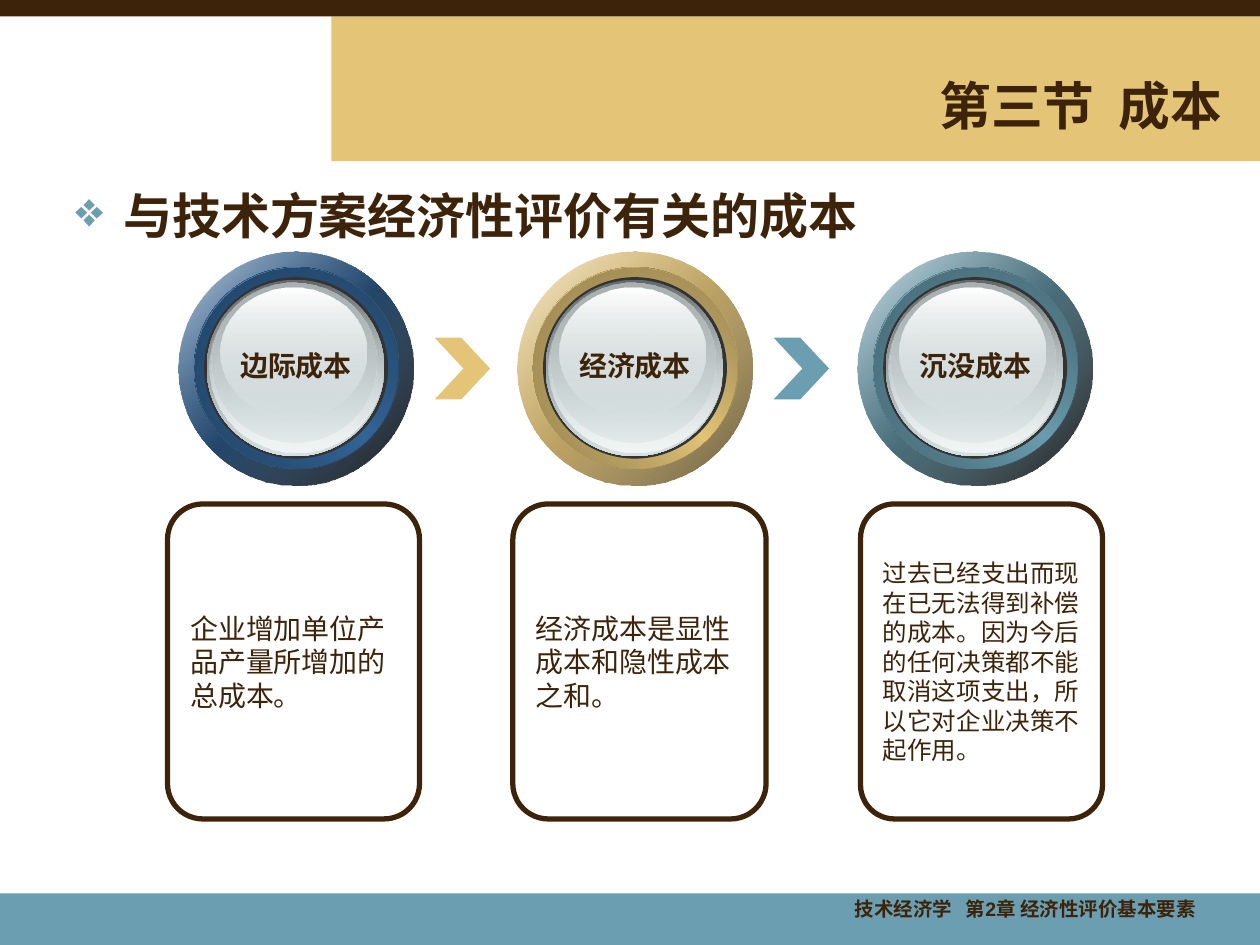
from lxml.etree import SubElement
from pptx import Presentation
from pptx.dml.color import RGBColor
from pptx.enum.shapes import MSO_SHAPE
from pptx.enum.text import MSO_ANCHOR, MSO_AUTO_SIZE, PP_ALIGN
from pptx.oxml.ns import qn
from pptx.util import Pt

PX = 9144  # EMU per px, at 100 px to the inch

BROWN = RGBColor(0x3C, 0x23, 0x0A)
GOLD = RGBColor(0xE4, 0xC5, 0x78)
TEAL = RGBColor(0x6A, 0x9E, 0xB0)
BLUE = RGBColor(0x33, 0x66, 0x99)
WHITE = RGBColor(0xFF, 0xFF, 0xFF)
BLACK = RGBColor(0x00, 0x00, 0x00)
CORE = RGBColor(0x33, 0x33, 0x33)
GLASS = RGBColor(0xD6, 0xE1, 0xE2)
PALE = RGBColor(0xF1, 0xF5, 0xF5)
GREY = RGBColor(0xAA, 0xB2, 0xB3)
SLATE = RGBColor(0x63, 0x68, 0x69)
GOLD_END = RGBColor(0x6A, 0x5B, 0x38)

# Disc: left, rim colour, rim end and its opacity, ring edge, ring shade, label
DISCS = [
    (142, BLUE, BLACK, 90, RGBColor(0x1C, 0x37, 0x53),
     RGBColor(0x20, 0x41, 0x61), "边际成本"),
    (411, GOLD, GOLD_END, 100, RGBColor(0x7B, 0x6B, 0x41),
     RGBColor(0x91, 0x7D, 0x4C), "经济成本"),
    (681, TEAL, BLACK, 90, RGBColor(0x39, 0x56, 0x5F),
     RGBColor(0x43, 0x64, 0x70), "沉没成本"),
]
DISC_TOP = 200

# Glass layers: box within the disc, then gradient stops from top to bottom
LAYERS = [
    ((22, 22, 141, 140), [(SLATE, 100), (GLASS, 100)]),
    ((24, 23, 138, 136), [(GLASS, 0), (PALE, 100)]),
    ((26, 24, 131, 127), [(GREY, 100), (GLASS, 48)]),
    ((33, 28, 116, 103), [(WHITE, 100), (GLASS, 38)]),
]

# Card: left, width, font, size, text
CARDS = [
    (133, 200, "DejaVu Sans", 16, "企业增加单位产品产量所增加的总成本。"),
    (407, 201, "Arial", 16, "经济成本是显性成本和隐性成本之和。"),
    (683, 192, "DejaVu Sans", 14,
     "过去已经支出而现在已无法得到补偿的成本。因为今后的任何决策都不能"
     "取消这项支出，所以它对企业决策不起作用。"),
]


def place(box):
    return [n * PX for n in box]


def add_form(slide, kind, box, fill=None):
    form = slide.shapes.add_shape(kind, *place(box))
    form.shadow.inherit = False
    form.line.fill.background()
    if fill is None:
        form.fill.background()
    else:
        form.fill.solid()
        form.fill.fore_color.rgb = fill
    return form


def add_blend(slide, box, stops, angle):
    """Draw an ellipse with evenly spaced (colour, opacity) stops."""
    form = add_form(slide, MSO_SHAPE.OVAL, box)
    form.fill.gradient()
    grad = form.element.spPr.find(qn("a:gradFill"))
    for child in list(grad):
        grad.remove(child)
    items = SubElement(grad, qn("a:gsLst"))
    for i, (color, alpha) in enumerate(stops):
        spot = 100000 * i // (len(stops) - 1)
        stop = SubElement(items, qn("a:gs"), pos=str(spot))
        tint = SubElement(stop, qn("a:srgbClr"), val=str(color))
        if alpha < 100:
            SubElement(tint, qn("a:alpha"), val=str(alpha * 1000))
    SubElement(grad, qn("a:lin"), ang=str(angle * 60000), scaled="0")


def set_text(shape, text, size, font="Arial", bold=False,
             align=PP_ALIGN.LEFT, anchor=MSO_ANCHOR.TOP, wrap=True):
    frame = shape.text_frame
    frame.text = text
    frame.word_wrap = wrap
    frame.auto_size = MSO_AUTO_SIZE.NONE
    frame.vertical_anchor = anchor
    para = frame.paragraphs[0]
    para.alignment = align
    for run in para.runs:
        run.font.name = font
        run.font.size = Pt(size)
        run.font.bold = bold
        run.font.color.rgb = BROWN
    return para


def add_text(slide, box, text, size, **style):
    return set_text(slide.shapes.add_textbox(*place(box)), text, size, **style)


def add_point(slide, box, text):
    para = add_text(slide, box, text, 28, font="DejaVu Sans", bold=True)
    props = para._p.get_or_add_pPr()
    props.set("marL", str(38 * PX))
    props.set("indent", str(-38 * PX))
    tint = SubElement(props, qn("a:buClr"))
    SubElement(tint, qn("a:srgbClr"), val=str(TEAL))
    SubElement(props, qn("a:buChar"), char="❖")


def add_disc(slide, left, color, end, alpha, edge, shade, label):
    def inside(x, y, width, height):
        return left + x, DISC_TOP + y, width, height

    # Rim and ring
    rim, ring = inside(0, 0, 186, 185), inside(12, 12, 162, 160)
    add_blend(slide, rim, [(WHITE, 100), (color, 100), (WHITE, 100)], 45)
    add_blend(slide, rim, [(color, 32), (end, alpha)], 45)
    add_blend(slide, ring, [(edge, 100), (color, 100), (edge, 100)], 315)
    add_blend(slide, ring, [(shade, 100), (color, 0)], 45)
    # Glass centre
    add_form(slide, MSO_SHAPE.OVAL, inside(20, 20, 146, 144), CORE)
    for box, stops in LAYERS:
        add_blend(slide, inside(*box), stops, 90)
    add_text(slide, inside(39, 72, 108, 37), label, 16, bold=True,
             align=PP_ALIGN.CENTER, wrap=False)


def add_arrow(slide, left, color):
    arrow = add_form(slide, MSO_SHAPE.CHEVRON, (left, 268, 44, 49), color)
    arrow.adjustments[0] = 0.52


def add_card(slide, left, width, font, size, text):
    card = add_form(slide, MSO_SHAPE.ROUNDED_RECTANGLE,
                    (left, 400, width, 250))
    card.adjustments[0] = 0.14
    card.line.color.rgb = BROWN
    card.line.width = Pt(3)
    set_text(card, text, size, font=font, anchor=MSO_ANCHOR.MIDDLE)


def add_title(slide, box, text):
    title = slide.shapes.title
    title.left, title.top, title.width, title.height = place(box)
    para = set_text(title, text, 29.6, bold=True, align=PP_ALIGN.RIGHT,
                    anchor=MSO_ANCHOR.MIDDLE)
    para.line_spacing = 0.9
    # Bring the title in front of the gold band
    title.element.getparent().append(title.element)


def main():
    deck = Presentation()
    deck.slide_width, deck.slide_height = 1000 * PX, 750 * PX
    slide = deck.slides.add_slide(deck.slide_layouts[5])

    # Bands and footer
    add_form(slide, MSO_SHAPE.RECTANGLE, (263, 13, 737, 115), GOLD)
    add_form(slide, MSO_SHAPE.RECTANGLE, (0, 709, 1000, 41), TEAL)
    add_form(slide, MSO_SHAPE.RECTANGLE, (0, 0, 1000, 13), BROWN)
    foot = add_text(slide, (642, 709, 317, 33),
                    "技术经济学   第2章 经济性评价基本要素", 11.1,
                    bold=True, align=PP_ALIGN.RIGHT)
    foot.line_spacing = 0.9

    # Headings
    add_title(slide, (264, 55, 716, 62), "第三节  成本")
    add_point(slide, (50, 142, 908, 550), "与技术方案经济性评价有关的成本")

    # Cost kinds
    for card in CARDS:
        add_card(slide, *card)
    for left, color in ((345, GOLD), (614, TEAL)):
        add_arrow(slide, left, color)
    for disc in DISCS:
        add_disc(slide, *disc)

    deck.save("out.pptx")


if __name__ == "__main__":
    main()
